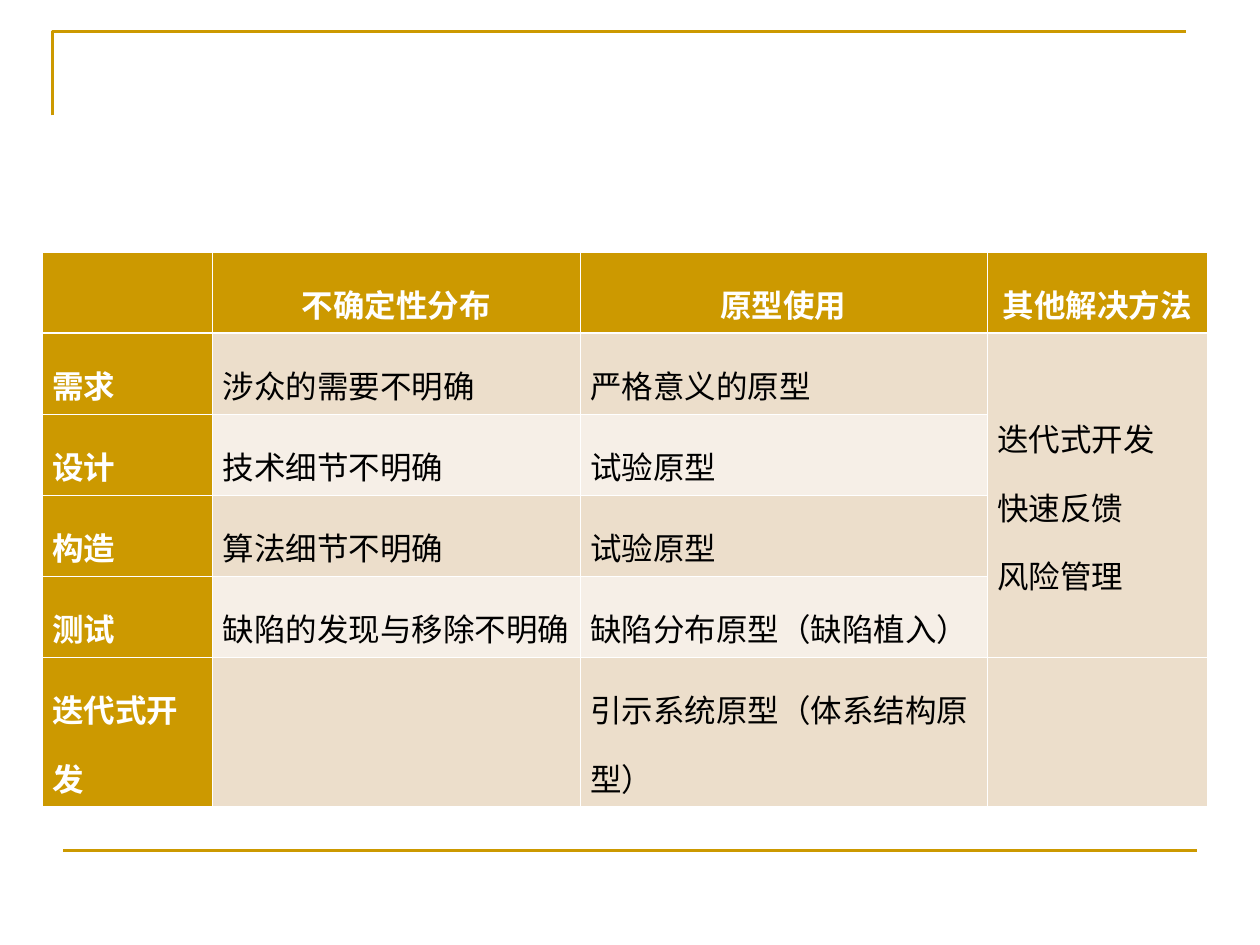
from lxml.etree import SubElement
from pptx import Presentation
from pptx.dml.color import RGBColor
from pptx.enum.shapes import MSO_CONNECTOR
from pptx.enum.text import MSO_ANCHOR, PP_ALIGN
from pptx.oxml.ns import qn
from pptx.util import Pt

GOLD, WHITE, BLACK = "CC9900", "FFFFFF", "000000"
BANDS = ["ECDECB", "F6EFE7"]
ROWS = [
    ["", "不确定性分布", "原型使用", "其他解决方法"],
    ["需求", "涉众的需要不明确", "严格意义的原型", "迭代式开发\n快速反馈\n风险管理"],
    ["设计", "技术细节不明确", "试验原型", ""],
    ["构造", "算法细节不明确", "试验原型", ""],
    ["测试", "缺陷的发现与移除不明确", "缺陷分布原型（缺陷植入）", ""],
    ["迭代式开发", "", "引示系统原型（体系结构原型）", ""],
]
COLUMN_WIDTHS = [97.2, 210.24, 232.56, 126]
ROW_HEIGHTS = [32.4] * 5 + [64.8]
TABLE_LEFT, TABLE_TOP = 24, 144
CORNER = [(30, 66), (30, 18), (678, 18)]
FOOTER_RULE = [(36, 486), (684, 486)]
THIN, THICK = 0.45, 1.47
MARGINS = {"margin_left": 6, "margin_right": 6, "margin_top": 3.6, "margin_bottom": 3.6}


def color(value):
    return RGBColor.from_string(value)


def style_rule(shape):
    shape.line.color.rgb = color(GOLD)
    shape.line.width = Pt(1.5)


def add_border(cell, side, width):
    line = SubElement(cell._tc.get_or_add_tcPr(), qn(f"a:ln{side}"), w=str(Pt(width)))
    SubElement(SubElement(line, qn("a:solidFill")), qn("a:srgbClr"), val=WHITE)


def format_cell(cell, text, row, column):
    header = row == 0
    strong = header or column == 0
    for name, value in MARGINS.items():
        setattr(cell, name, Pt(value))
    for side in "LRTB":
        under_header = (side == "B" and row == 0) or (side == "T" and row == 1)
        add_border(cell, side, THICK if under_header else THIN)
    cell.fill.solid()
    cell.fill.fore_color.rgb = color(GOLD if strong else BANDS[(row - 1) % 2])
    if not text:
        return
    cell.text = text
    font_values = {"name": "Arial", "size": Pt(18), "bold": strong}
    for para in cell.text_frame.paragraphs:
        para.line_spacing = 1.5
        para.alignment = PP_ALIGN.CENTER if header else PP_ALIGN.LEFT
        for span in para.runs:
            for name, value in font_values.items():
                setattr(span.font, name, value)
            span.font.color.rgb = color(WHITE if strong else BLACK)


deck = Presentation()
deck.slide_width, deck.slide_height = Pt(720), Pt(540)
page = deck.slides.add_slide(deck.slide_layouts[6])

builder = page.shapes.build_freeform(Pt(CORNER[0][0]), Pt(CORNER[0][1]))
builder.add_line_segments([(Pt(x), Pt(y)) for x, y in CORNER[1:]], close=False)
corner = builder.convert_to_shape()
corner.shadow.inherit = False
corner.fill.background()
style_rule(corner)

ends = [Pt(value) for point in FOOTER_RULE for value in point]
footer = page.shapes.add_connector(MSO_CONNECTOR.STRAIGHT, *ends)
style_rule(footer)
SubElement(footer._element.spPr, qn("a:effectLst"))

table = page.shapes.add_table(
    len(ROWS), len(COLUMN_WIDTHS), Pt(TABLE_LEFT), Pt(TABLE_TOP),
    Pt(sum(COLUMN_WIDTHS)), Pt(sum(ROW_HEIGHTS))).table
for column, width in zip(table.columns, COLUMN_WIDTHS):
    column.width = Pt(width)
for row, height in zip(table.rows, ROW_HEIGHTS):
    row.height = Pt(height)
for row, texts in enumerate(ROWS):
    for column, text in enumerate(texts):
        format_cell(table.cell(row, column), text, row, column)

methods = table.cell(1, 3)
methods.merge(table.cell(4, 3))
methods.vertical_anchor = MSO_ANCHOR.MIDDLE

deck.save("out.pptx")
